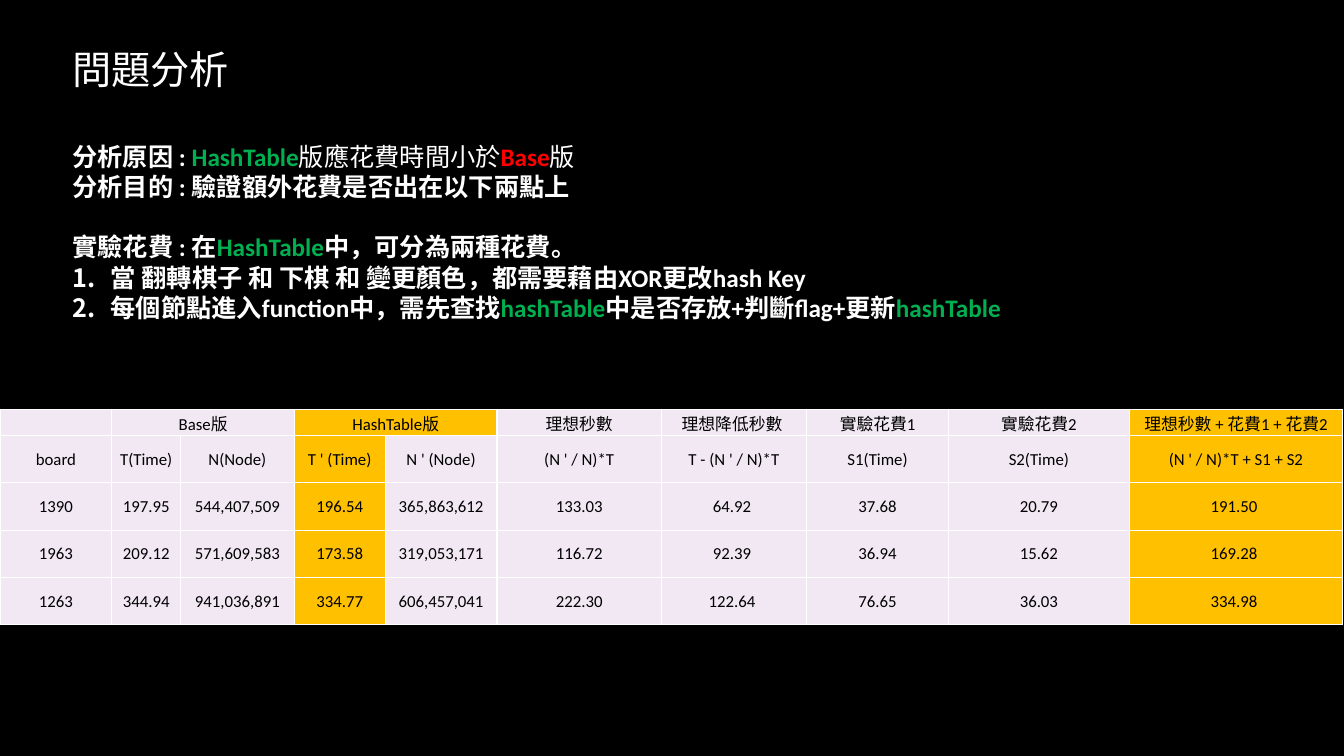
from lxml.etree import SubElement
from pptx import Presentation
from pptx.dml.color import RGBColor
from pptx.enum.text import MSO_ANCHOR, PP_ALIGN
from pptx.oxml.ns import qn
from pptx.util import Inches, Pt

COLORS = {
    "background": "000000", "white": "FFFFFF", "black": "000000",
    "green": "00B050", "red": "FF0000", "lilac": "F1E8F4", "gold": "FFC000",
}
LATIN_FONT, CHINESE_FONT = "Calibri", "Noto Sans CJK TC"

# Each paragraph is a list of (text, color, bold)
ANALYSIS = [
    [("分析原因 : ", "white", True), ("HashTable", "green", True),
     ("版應花費時間小於", "white", False), ("Base", "red", True), ("版", "white", False)],
    [("分析目的 : 驗證額外花費是否出在以下兩點上", "white", True)],
    [("實驗花費 : 在", "white", True), ("HashTable", "green", True),
     ("中，可分為兩種花費。", "white", True)],
]
COSTS = [
    [("當 翻轉棋子 和 下棋 和 變更顏色，都需要藉由XOR更改hash Key", "white", True)],
    [("每個節點進入function中，需先查找", "white", True), ("hashTable", "green", True),
     ("中是否存放+判斷flag+更新", "white", True), ("hashTable", "green", True)],
]

COLUMN_WIDTHS = [1.11, 0.68, 1.13, 0.9, 1.11, 1.63, 1.44, 1.41, 1.79, 2.12]
ROW_HEIGHTS = [0.26] + [0.47] * 4
GOLD_COLUMNS = (3, 9)
MERGED_HEADERS = ((1, 2), (3, 4))
RESULTS = [
    ["", "Base版", "", "HashTable版", "", "理想秒數", "理想降低秒數 ", "實驗花費1",
     "實驗花費2", "理想秒數 + 花費1 + 花費2"],
    ["board", "T(Time)", "N(Node)", "T ' (Time)", "N ' (Node)", "(N ' / N)*T",
     "T - (N ' / N)*T", "S1(Time)", "S2(Time)", "(N ' / N)*T + S1 + S2"],
    ["1390", "197.95", "544,407,509", "196.54", "365,863,612", "133.03", "64.92 ",
     "37.68", "20.79", "191.50 "],
    ["1963", "209.12", "571,609,583", "173.58", "319,053,171", "116.72", "92.39 ",
     "36.94", "15.62", "169.28 "],
    ["1263", "344.94", "941,036,891", "334.77", "606,457,041", "222.30", "122.64 ",
     "76.65", "36.03", "334.98 "],
]


def rgb(name):
    return RGBColor.from_string(COLORS[name])


def style_span(span, size, color, bold=False):
    span.font.size = Pt(size)
    span.font.bold = bold
    span.font.name = LATIN_FONT
    span.font.color.rgb = rgb(color)
    SubElement(span.font._element, qn("a:ea"), typeface=CHINESE_FONT)


def add_text(page, box, lines, size):
    frame = page.shapes.add_textbox(*map(Inches, box)).text_frame
    frame.word_wrap = True
    for index, line in enumerate(lines):
        para = frame.paragraphs[0] if index == 0 else frame.add_paragraph()
        for text, color, bold in line:
            span = para.add_run()
            span.text = text
            style_span(span, size, color, bold)
    return frame


def number_paragraph(para):
    indent = Inches(0.38)
    properties = para._p.get_or_add_pPr()
    properties.set("marL", str(indent))
    properties.set("indent", str(-indent))
    SubElement(properties, qn("a:buFont"), typeface=LATIN_FONT)
    SubElement(properties, qn("a:buAutoNum"), type="arabicPeriod")


def add_title(page, box):
    add_text(page, box, [[("問題分析", "white", False)]], 28)


def add_analysis(page, box):
    paras = add_text(page, box, ANALYSIS + COSTS, 18).paragraphs
    paras[2].space_before = Pt(21.6)
    for para in paras[len(ANALYSIS):]:
        number_paragraph(para)


def add_borders(cell):
    properties = cell._tc.get_or_add_tcPr()
    for side in ("lnL", "lnR", "lnT", "lnB"):
        line = SubElement(properties, qn(f"a:{side}"), w=str(Pt(1)))
        fill = SubElement(line, qn("a:solidFill"))
        SubElement(fill, qn("a:srgbClr"), val=COLORS["white"])


def fill_cell(cell, text, color):
    cell.margin_left = cell.margin_right = cell.margin_top = Inches(0.01)
    cell.margin_bottom = 0
    cell.vertical_anchor = MSO_ANCHOR.MIDDLE
    add_borders(cell)
    cell.fill.solid()
    cell.fill.fore_color.rgb = rgb(color)
    para = cell.text_frame.paragraphs[0]
    para.alignment = PP_ALIGN.CENTER
    if text:
        para.text = text
        style_span(para.runs[0], 12, "black")
    else:
        # Keeps an empty cell from stretching its row
        SubElement(para._p, qn("a:endParaRPr"), sz="1200")


def add_results(page, box):
    frame = page.shapes.add_table(len(RESULTS), len(COLUMN_WIDTHS), *map(Inches, box))
    table = frame.table
    table.first_row = table.horz_banding = False
    for column, width in zip(table.columns, COLUMN_WIDTHS):
        column.width = Inches(width)
    for row, height in zip(table.rows, ROW_HEIGHTS):
        row.height = Inches(height)
    for row_index, values in enumerate(RESULTS):
        for column_index, value in enumerate(values):
            color = "gold" if column_index in GOLD_COLUMNS else "lilac"
            fill_cell(table.cell(row_index, column_index), value, color)
    for first, last in MERGED_HEADERS:
        table.cell(0, first).merge(table.cell(0, last))


def build_problem_analysis(deck):
    page = deck.slides.add_slide(deck.slide_layouts[6])
    page.background.fill.solid()
    page.background.fill.fore_color.rgb = rgb("background")
    add_title(page, (0.62, 0.4, 7.24, 0.57))
    add_analysis(page, (0.62, 1.35, 10.19, 1.92))
    add_results(page, (0, 4.06, 13.33, 2.15))


deck = Presentation()
deck.slide_width, deck.slide_height = Inches(13.33), Inches(7.5)
build_problem_analysis(deck)
deck.save("out.pptx")
